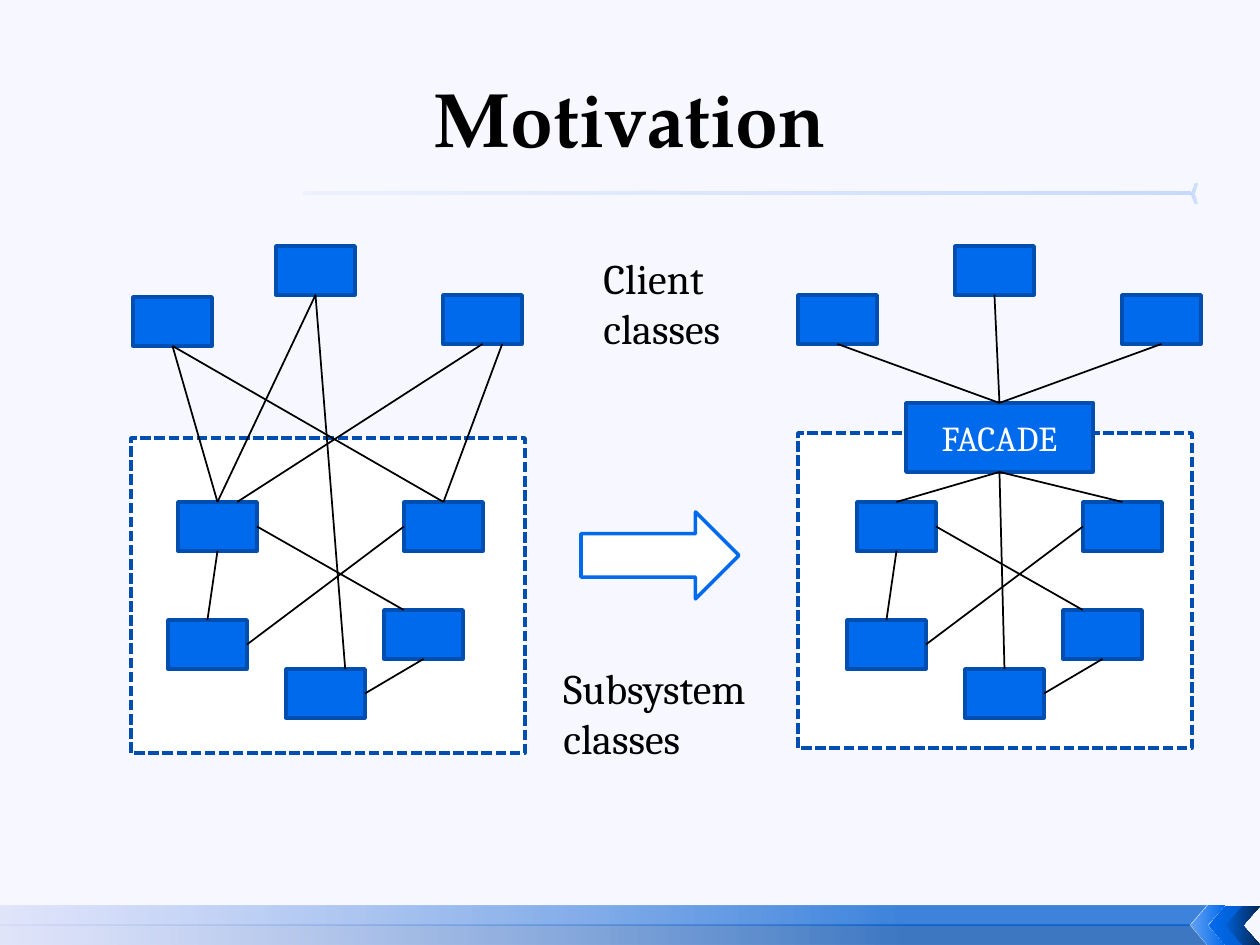
from lxml import etree
from pptx import Presentation, util as u
from pptx.dml.color import RGBColor
from pptx.enum import dml, shapes, text
from pptx.oxml.ns import qn

PIXEL = 914400 / 126
PAPER = RGBColor(0xF7, 0xF7, 0xFF)
WHITE = RGBColor(0xFF, 0xFF, 0xFF)
BLACK = RGBColor(0, 0, 0)
BLUE = RGBColor(0x00, 0x6A, 0xED)
MID_BLUE = RGBColor(0x00, 0x5E, 0xD1)
EDGE_BLUE = RGBColor(0x00, 0x4E, 0xAF)
NAVY = RGBColor(0x00, 0x27, 0x57)
LAVENDER = RGBColor(0xCC, 0xD4, 0xF8)
TITLE_FONT, BODY_FONT = "TeX Gyre Pagella", "Cambria"

NODE_W, NODE_H = 79, 49
NODES = {"A": (10, 0), "B": (0, 118), "C": (118, 167), "D": (216, 108), "E": (236, 0)}
# Anchors on a box as fractions of its width and height
TOP, BOTTOM, LEFT, RIGHT = (0.5, 0), (0.5, 1), (0, 0.5), (1, 0.5)
TOP_NEAR, TOP_FAR, BOTTOM_FAR = (0.25, 0), (0.75, 0), (0.75, 1)
INNER_LINKS = [("C", RIGHT, "D", BOTTOM), ("B", TOP, "A", BOTTOM),
               ("B", RIGHT, "E", LEFT), ("D", TOP_NEAR, "A", RIGHT)]
CLIENT_LINKS = [(0, BOTTOM, "A", TOP), (0, BOTTOM, "E", TOP),
                (1, BOTTOM, "A", TOP), (1, BOTTOM, "C", TOP_FAR),
                (2, BOTTOM_FAR, "E", TOP), (2, BOTTOM, "A", TOP_FAR)]


def px(length):
    """Turn picture pixels into EMU."""
    return u.Emu(round(length * PIXEL))


def add_box(page, box, fill=BLUE, line=EDGE_BLUE, kind=shapes.MSO_SHAPE.RECTANGLE):
    """Add an outlined preset shape at box."""
    shape = page.shapes.add_shape(kind, *map(px, box))
    shape.shadow.inherit = False
    shape.fill.solid()
    shape.fill.fore_color.rgb = fill
    shape.line.color.rgb = line
    shape.line.width = u.Pt(2)
    return shape


def add_text(para, words, size, color, font=BODY_FONT, bold=False):
    """Add one formatted run to a paragraph."""
    span = para.add_run()
    span.text = words
    span.font.size = u.Pt(size)
    span.font.name = font
    span.font.bold = bold
    span.font.color.rgb = color


def add_link(page, box_from, start, box_to, end):
    """Join an anchor of one box to an anchor of another."""
    points = [px(box[i] + box[i + 2] * anchor[i])
              for box, anchor in ((box_from, start), (box_to, end)) for i in (0, 1)]
    link = page.shapes.add_connector(shapes.MSO_CONNECTOR.STRAIGHT, *points)
    link.line.color.rgb = BLACK
    link.line.width = u.Pt(1)
    etree.SubElement(link._element.spPr, qn("a:effectLst"))


def fade(shape, *stops):
    """Fill without outline, right to left; stops are (percent, colour, opacity)."""
    shape.shadow.inherit = False
    shape.line.fill.background()
    shape.fill.gradient()
    shape.fill.gradient_angle = 180
    stop_list = shape._element.spPr.find(".//" + qn("a:gsLst"))
    for old in list(stop_list):
        stop_list.remove(old)
    for percent, color, opacity in stops:
        stop = etree.SubElement(stop_list, qn("a:gs"), pos=str(percent * 1000))
        tint = etree.SubElement(stop, qn("a:srgbClr"), val=str(color))
        etree.SubElement(tint, qn("a:alpha"), val=str(opacity * 1000))


def add_chevron(page, box, *stops):
    """Add a left-pointing faded chevron."""
    chevron = page.shapes.add_shape(shapes.MSO_SHAPE.CHEVRON, *map(px, box))
    chevron.adjustments[0] = 0.5
    chevron._element.spPr.find(qn("a:xfrm")).set("flipH", "1")
    fade(chevron, *stops)


def draw_footer(page, top, bottom):
    """Draw the two-part band and its three chevrons."""
    middle = (top + bottom) // 2
    for edge, color in ((bottom, EDGE_BLUE), (top, MID_BLUE)):
        builder = page.shapes.build_freeform(px(1207), px(edge), scale=1.0)
        builder.add_line_segments([(px(0), px(edge)), (px(0), px(middle)),
                                   (px(1189), px(middle))], close=True)
        fade(builder.convert_to_shape(), (25, color, 75), (100, LAVENDER, 50))
    shades = [(BLUE, 60), (BLUE, 100), (MID_BLUE, 100), (NAVY, 100)]
    for i, (first, last) in enumerate(zip(shades, shades[1:])):
        add_chevron(page, (1191 + 17.5 * i, top, 34, bottom - top),
                    (0, *first), (100, *last))


def draw_title(page, box, words):
    """Place the title and the fading rule below it."""
    left, top, width, height = box
    add_chevron(page, (1191, top + 146, 7, 20), (0, BLUE, 20), (100, BLUE, 15))
    rule = page.shapes.add_shape(shapes.MSO_SHAPE.RECTANGLE,
                                 *map(px, (304, top + 154, 886, 3)))
    fade(rule, (0, BLUE, 20), (100, BLUE, 4))
    title = page.shapes.title
    title.left, title.top, title.width, title.height = map(px, box)
    title.text_frame.vertical_anchor = text.MSO_ANCHOR.MIDDLE
    para = title.text_frame.paragraphs[0]
    para.alignment = text.PP_ALIGN.CENTER
    add_text(para, words, 44, BLACK, TITLE_FONT, True)


def draw_system(page, panel, node_left, node_top, client_spots):
    """Draw a subsystem in its dashed panel with clients; return both sets of boxes."""
    border = add_box(page, panel, WHITE)
    border.line.dash_style = dml.MSO_LINE.SQUARE_DOT
    nodes = {name: (node_left + x, node_top + y, NODE_W, NODE_H)
             for name, (x, y) in NODES.items()}
    clients = [(x, y, NODE_W, NODE_H) for x, y in client_spots]
    for box in [*nodes.values(), *clients]:
        add_box(page, box)
    for name_from, start, name_to, end in INNER_LINKS:
        add_link(page, nodes[name_from], start, nodes[name_to], end)
    return nodes, clients


def draw_facade(page, box, nodes, clients):
    """Draw the facade and its links to clients and subsystem."""
    facade = add_box(page, box)
    facade.text_frame.vertical_anchor = text.MSO_ANCHOR.MIDDLE
    para = facade.text_frame.paragraphs[0]
    para.alignment = text.PP_ALIGN.CENTER
    add_text(para, "FACADE", 20, WHITE)
    for client in clients:
        add_link(page, client, BOTTOM, box, TOP)
    for name in "CAE":
        add_link(page, nodes[name], TOP, box, BOTTOM)


def draw_label(page, box, lines):
    """Add a caption with one paragraph per line."""
    frame = page.shapes.add_textbox(*map(px, box)).text_frame
    frame.word_wrap = False
    frame.auto_size = text.MSO_AUTO_SIZE.SHAPE_TO_FIT_TEXT
    for i, words in enumerate(lines):
        para = frame.add_paragraph() if i else frame.paragraphs[0]
        para.alignment = text.PP_ALIGN.LEFT
        add_text(para, words, 24, BLACK)


deck = Presentation()
deck.slide_width, deck.slide_height = px(1260), px(945)
page = deck.slides.add_slide(deck.slide_layouts[5])
page.background.fill.solid()
page.background.fill.fore_color.rgb = PAPER

draw_footer(page, 906, 945)
draw_title(page, (63, 38, 1134, 158), "Motivation")
nodes, clients = draw_system(page, (131, 438, 394, 315), 168, 502,
                             [(133, 297), (276, 246), (443, 295)])
for client, start, name, end in CLIENT_LINKS:
    add_link(page, clients[client], start, nodes[name], end)
nodes, clients = draw_system(page, (798, 433, 394, 315), 847, 502,
                             [(798, 295), (955, 246), (1122, 295)])
draw_facade(page, (906, 403, 187, 69), nodes, clients)
add_box(page, (581, 512, 158, 87), WHITE, BLUE, shapes.MSO_SHAPE.RIGHT_ARROW)
draw_label(page, (591, 246, 152, 115), ["Client", "classes"])
draw_label(page, (551, 656, 220, 115), ["Subsystem", "classes"])

deck.save("out.pptx")
